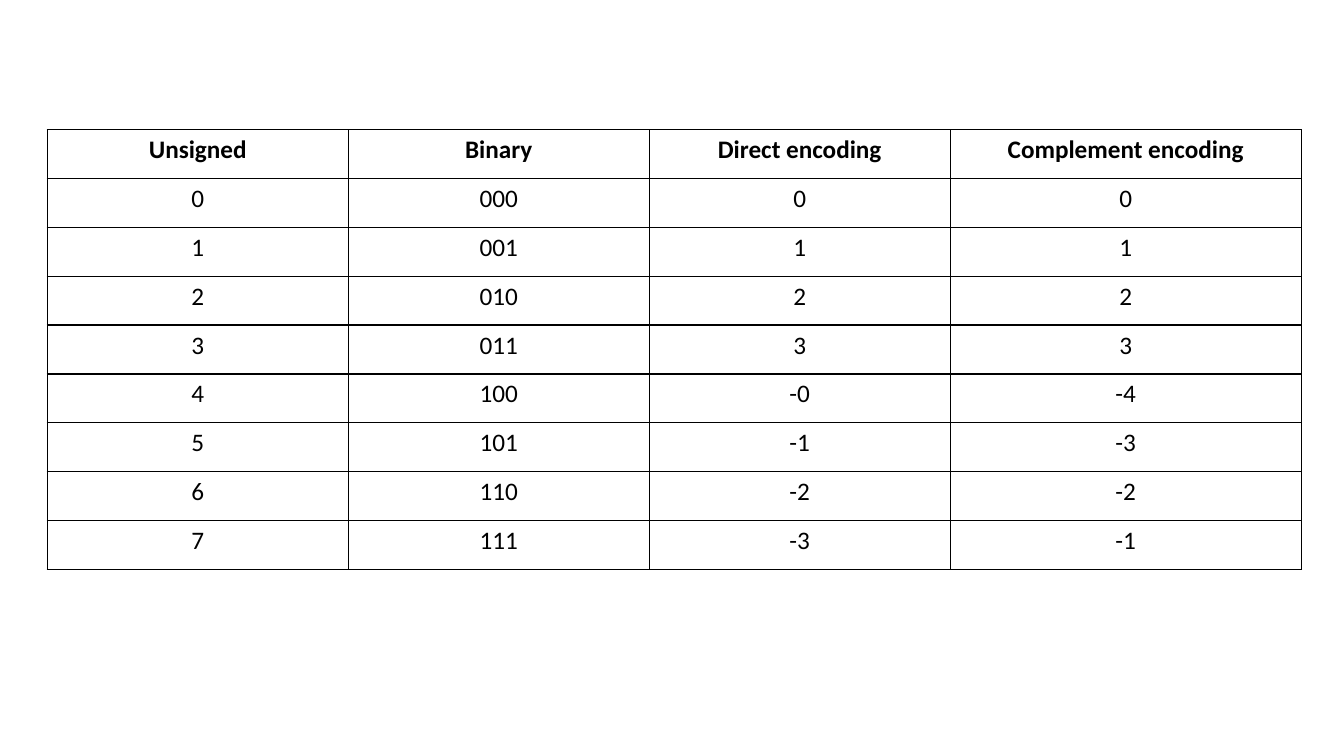
from dataclasses import dataclass

from lxml import etree
from pptx import Presentation
from pptx.dml.color import RGBColor
from pptx.enum.text import MSO_ANCHOR, PP_ALIGN
from pptx.oxml.ns import qn
from pptx.util import Pt

CENTER = PP_ALIGN.CENTER
TOP = MSO_ANCHOR.TOP
BLANK_LAYOUT = 6
BLACK = "000000"
WHITE = "FFFFFF"
TABLE_LEFT, TABLE_TOP = 33.8, 92.6
ROW_HEIGHT = 34.92


@dataclass(frozen=True)
class Column:
    heading: str
    width: float
    values: tuple[str, ...]


# Each three-bit pattern and the number it stands for
COLUMNS = (
    Column("Unsigned", 215, ("0", "1", "2", "3", "4", "5", "6", "7")),
    Column("Binary", 215, ("000", "001", "010", "011", "100", "101", "110", "111")),
    Column("Direct encoding", 215, ("0", "1", "2", "3", "-0", "-1", "-2", "-3")),
    Column("Complement encoding", 250.7, ("0", "1", "2", "3", "-4", "-3", "-2", "-1")),
)


def color(hex_value: str) -> RGBColor:
    return RGBColor.from_string(hex_value)


def add_borders(cell, hex_value: str, width: float) -> None:
    properties = cell._tc.get_or_add_tcPr()
    for side in ("a:lnL", "a:lnR", "a:lnT", "a:lnB"):
        border = etree.SubElement(properties, qn(side), w=str(Pt(width)))
        fill = etree.SubElement(border, qn("a:solidFill"))
        etree.SubElement(fill, qn("a:srgbClr"), val=hex_value)


def write_cell(cell, text: str, bold: bool) -> None:
    add_borders(cell, BLACK, 1)
    cell.fill.solid()
    cell.fill.fore_color.rgb = color(WHITE)
    cell.vertical_anchor = TOP
    cell.text = text
    paragraph = cell.text_frame.paragraphs[0]
    paragraph.alignment = CENTER
    paragraph.font.name = "Calibri"
    paragraph.font.size = Pt(18)
    paragraph.font.bold = bold
    paragraph.font.color.rgb = color(BLACK)


def add_encoding_table(slide, columns: tuple[Column, ...]) -> None:
    row_count = 1 + len(columns[0].values)
    total_width = sum(column.width for column in columns)
    encodings = slide.shapes.add_table(
        row_count, len(columns), Pt(TABLE_LEFT), Pt(TABLE_TOP),
        Pt(total_width), Pt(row_count * ROW_HEIGHT),
    ).table
    encodings.first_row = False
    encodings.horz_banding = False

    for row in encodings.rows:
        row.height = Pt(ROW_HEIGHT)
    for column_index, column in enumerate(columns):
        encodings.columns[column_index].width = Pt(column.width)
        for row_index, text in enumerate((column.heading, *column.values)):
            write_cell(encodings.cell(row_index, column_index), text, bold=row_index == 0)


def main() -> None:
    presentation = Presentation()
    presentation.slide_width = Pt(960)
    presentation.slide_height = Pt(540)
    slide = presentation.slides.add_slide(presentation.slide_layouts[BLANK_LAYOUT])
    add_encoding_table(slide, COLUMNS)
    presentation.save("out.pptx")


if __name__ == "__main__":
    main()
